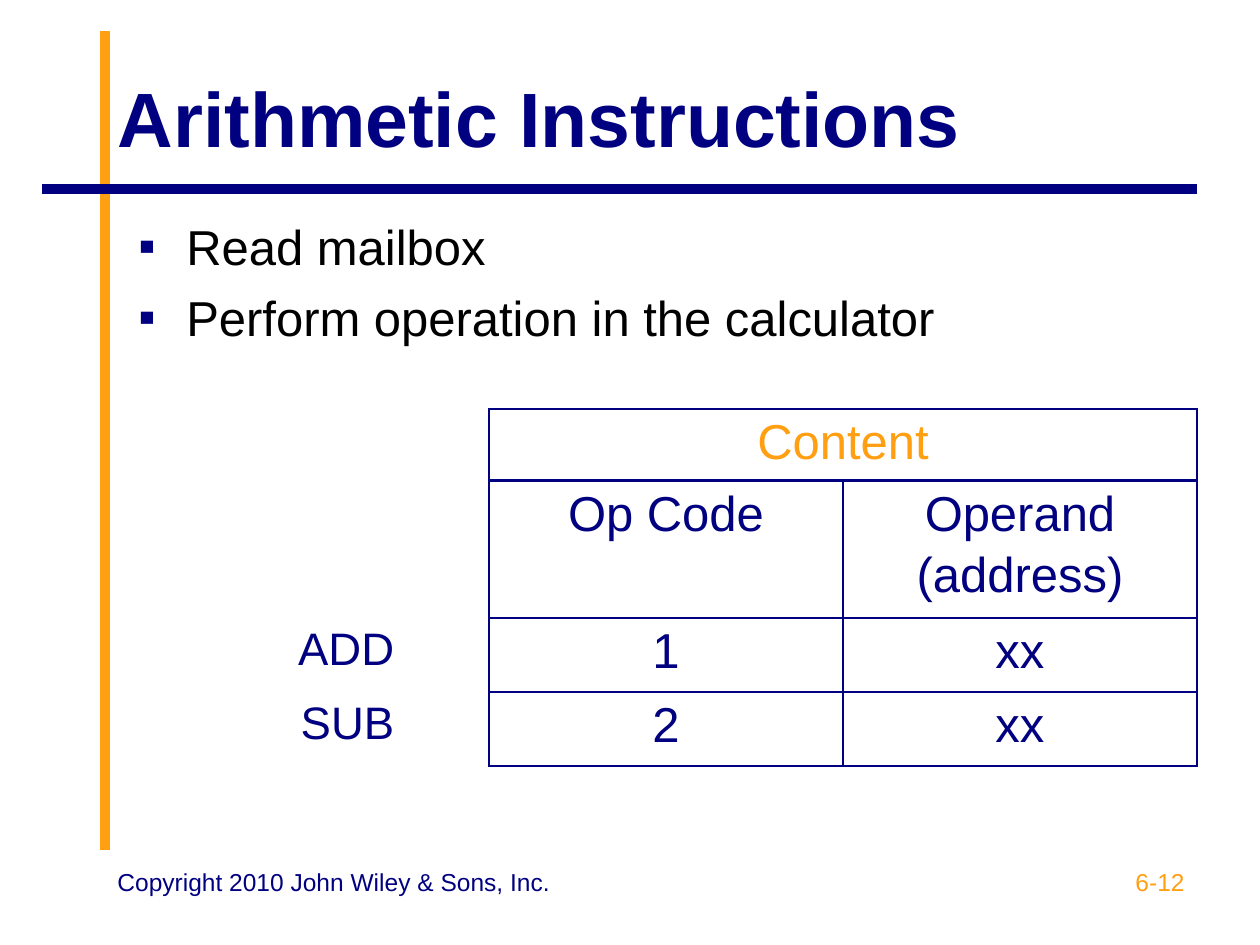
from dataclasses import dataclass

from lxml.etree import SubElement
from pptx import Presentation
from pptx.dml.color import RGBColor
from pptx.enum.shapes import MSO_CONNECTOR as Connector
from pptx.enum.text import MSO_ANCHOR as Anchor, PP_ALIGN as Align
from pptx.oxml import parse_xml
from pptx.oxml.ns import nsdecls, qn
from pptx.util import Emu, Pt

PX_PER_INCH = 126


@dataclass(frozen=True)
class Theme:
    font: str = "Arial"
    navy: str = "000080"
    orange: str = "FF9F11"
    black: str = "000000"
    white: str = "FFFFFF"
    title: int = 44
    body: int = 28
    label: int = 26
    footer: int = 14
    rule: float = 5.5
    border: float = 1.5
    hidden_border: float = 1


THEME = Theme()


def px(length):
    return Emu(round(length * 914400 / PX_PER_INCH))


def add_bullet(paragraph, color, indent, char="▪"):
    p_pr = paragraph._p.get_or_add_pPr()
    p_pr.set("marL", str(px(indent)))
    p_pr.set("indent", str(-px(indent)))
    bullet_color = SubElement(p_pr, qn("a:buClr"))
    SubElement(bullet_color, qn("a:srgbClr"), val=color)
    SubElement(p_pr, qn("a:buFont"), typeface=THEME.font)
    SubElement(p_pr, qn("a:buChar"), char=char)


def write(frame, text, *, size, color, bold=False, align=Align.LEFT,
          gap=0, bullet_indent=None):
    """Fill a text frame, one paragraph per line, gap points apart."""
    frame.word_wrap = True
    for index, line in enumerate(text.split("\n")):
        paragraph = frame.add_paragraph() if index else frame.paragraphs[0]
        if bullet_indent:
            add_bullet(paragraph, THEME.navy, bullet_indent)
        paragraph.alignment = align
        paragraph.space_before = Pt(gap if index else 0)
        run = paragraph.add_run()
        run.text = line
        run.font.name = THEME.font
        run.font.size = Pt(size)
        run.font.bold = bold
        run.font.color.rgb = RGBColor.from_string(color)


def set_borders(cell, colors):
    """Draw the left, right, top and bottom borders; white ones are thinner."""
    tc_pr = cell._tc.get_or_add_tcPr()
    for index, (side, color) in enumerate(zip("LRTB", colors)):
        points = THEME.hidden_border if color == THEME.white else THEME.border
        tc_pr.insert(index, parse_xml(
            f'<a:ln{side} {nsdecls("a")} w="{Pt(points)}"><a:solidFill>'
            f'<a:srgbClr val="{color}"/></a:solidFill></a:ln{side}>'))


class SlideBuilder:
    def __init__(self, slide, theme):
        self.slide = slide
        self.theme = theme

    def title(self, text, box):
        title = self.slide.shapes.title
        title.left, title.top, title.width, title.height = map(px, box)
        title.text_frame.vertical_anchor = Anchor.MIDDLE
        write(title.text_frame, text, size=self.theme.title,
              color=self.theme.navy, bold=True)

    def text(self, text, box, **style):
        frame = self.slide.shapes.add_textbox(*map(px, box)).text_frame
        write(frame, text, **style)

    def rule(self, start, end, color):
        rule = self.slide.shapes.add_connector(
            Connector.STRAIGHT, *map(px, start + end))
        rule.line.color.rgb = RGBColor.from_string(color)
        rule.line.width = Pt(self.theme.rule)
        SubElement(rule._element.spPr, qn("a:effectLst"))

    def instruction_table(self, rows, origin, widths, heights):
        """Framed content columns, beside a label and a gap column without frame."""
        theme = self.theme
        size = (sum(widths), sum(heights))
        table = self.slide.shapes.add_table(
            len(rows), len(widths), *map(px, origin + size)).table
        table.first_row = table.horz_banding = False
        for column, width in zip(table.columns, widths):
            column.width = px(width)
        for row, height in zip(table.rows, heights):
            row.height = px(height)

        hidden = [theme.white] * 4
        gap_borders = [theme.white, theme.navy, theme.white, theme.white]
        framed = [theme.navy] * 4
        column_borders = (hidden, gap_borders, framed, framed)
        for r, texts in enumerate(rows):
            for c, text in enumerate(texts):
                cell = table.cell(r, c)
                cell.fill.background()
                set_borders(cell, column_borders[c])
                if text:
                    is_label = c == 0
                    write(cell.text_frame, text, gap=4,
                          size=theme.label if is_label else theme.body,
                          color=theme.orange if r == 0 else theme.navy,
                          align=Align.RIGHT if is_label else Align.CENTER)
        table.cell(0, 2).merge(table.cell(0, 3))


def main():
    deck = Presentation()
    deck.slide_width, deck.slide_height = px(1260), px(945)
    builder = SlideBuilder(deck.slides.add_slide(deck.slide_layouts[5]), THEME)

    builder.rule((105, 850), (105, 31), THEME.orange)
    builder.rule((1197, 189), (42, 189), THEME.navy)
    builder.text("Copyright 2010 John Wiley & Sons, Inc.", (105, 861, 462, 65),
                 size=THEME.footer, color=THEME.navy)
    builder.text("6-12", (903, 861, 294, 65), size=THEME.footer,
                 color=THEME.orange, align=Align.RIGHT)
    builder.title("Arithmetic Instructions", (105, 38, 1092, 158))
    builder.text("Read mailbox\nPerform operation in the calculator",
                 (126, 210, 1071, 210), size=THEME.body, color=THEME.black,
                 gap=7, bullet_indent=48)
    builder.instruction_table(
        [("", "", "Content", ""),
         ("", "", "Op Code", "Operand\n(address)"),
         ("ADD", "", "1", "xx"),
         ("SUB", "", "2", "xx")],
        origin=(126, 409), widths=(281, 82, 354, 354), heights=(68, 131, 74, 74))

    deck.save("out.pptx")


if __name__ == "__main__":
    main()
